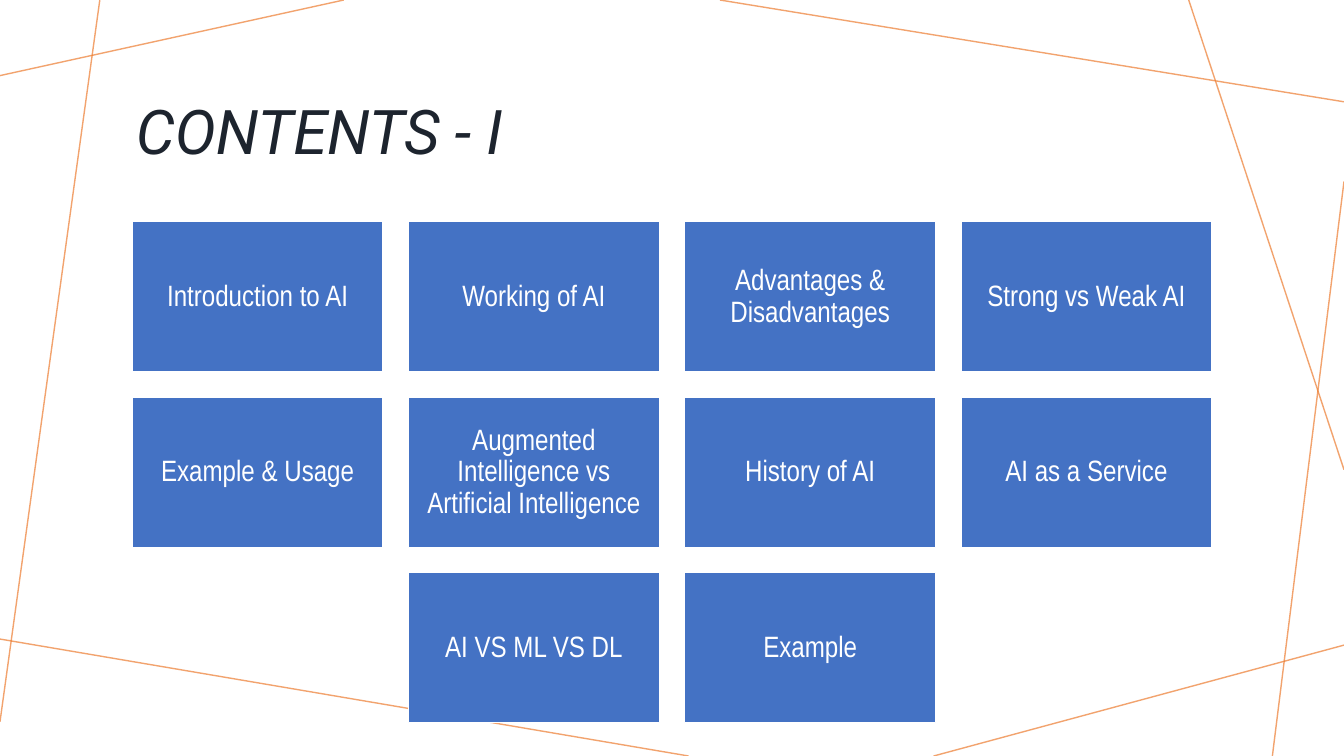
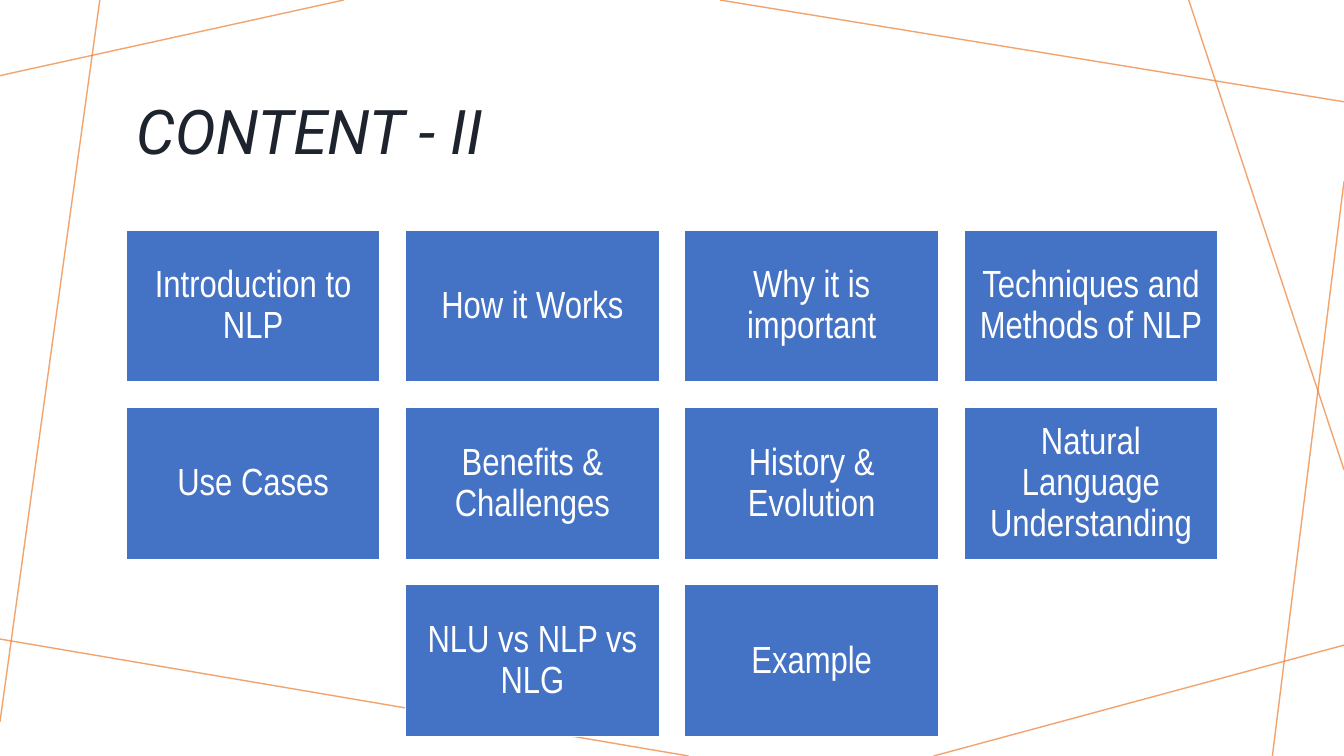
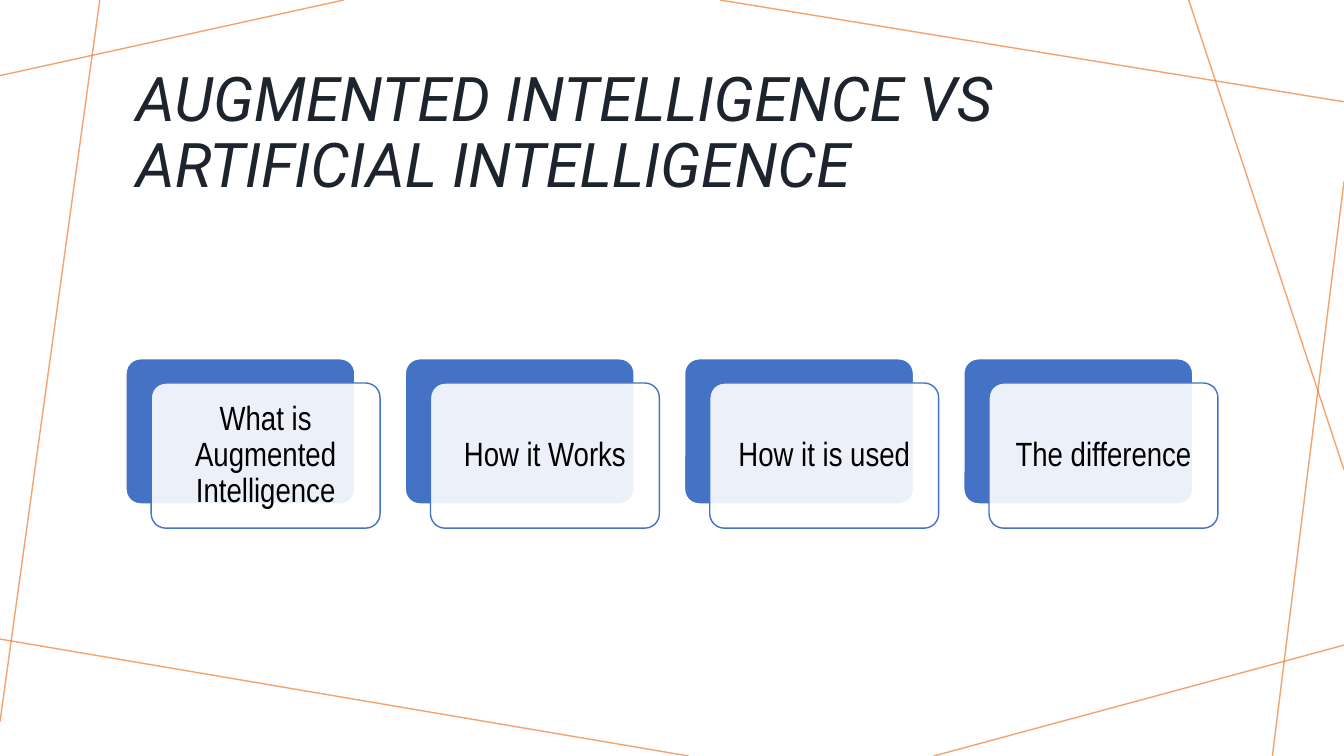
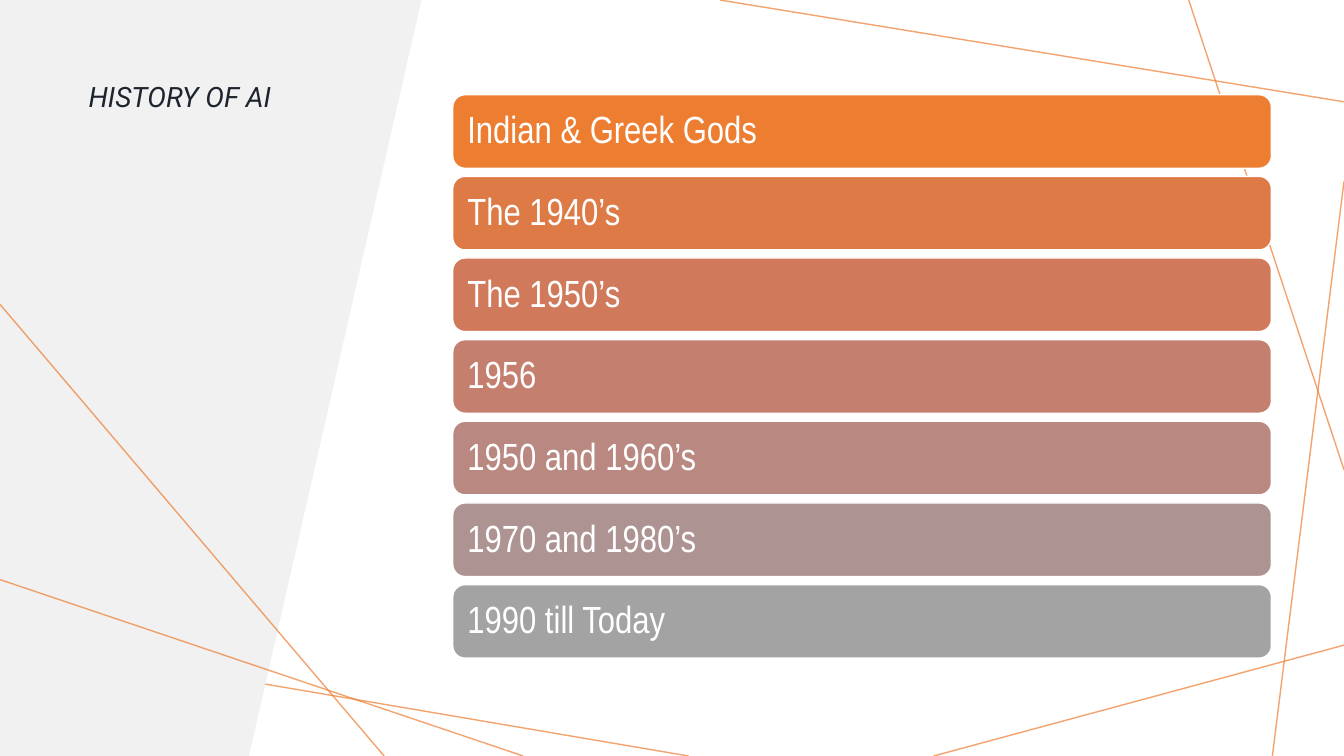
from lxml import etree
from pptx import Presentation
from pptx.dml.color import RGBColor
from pptx.enum.shapes import MSO_CONNECTOR, MSO_SHAPE as Kind
from pptx.enum.text import MSO_ANCHOR as Anchor, PP_ALIGN as Align
from pptx.oxml.ns import qn
from pptx.util import Pt

PX = 9144  # 100 px to the inch
WIDE, HIGH, GAP = 1333, 750, 25
WHITE, BLACK, INK = "FFFFFF", "000000", "1D242E"
BLUE, ORANGE, GREY = "4472C4", "ED7D31", "F2F1F1"

RAYS = [
    (341, 0, 0, 75), (99, 0, 0, 716), (683, 750, 0, 634),
    (1333, 640, 926, 750), (1333, 180, 1262, 750),
    (1333, 466, 1179, 0), (1333, 101, 714, 0),
]
PANEL = [(0, 0), (418, 0), (247, 750), (0, 750)]
PANEL_RAYS = [(0, 302, 381, 750), (519, 750, 0, 575)]

TILES = [
    dict(title="CONTENTS - I", top=220, size=(249, 149), pt=21, pad=9, rows=[
        ["Introduction to AI", "Working of AI", "Advantages & Disadvantages",
         "Strong vs Weak AI"],
        ["Example & Usage",
         "Augmented Intelligence vs Artificial Intelligence",
         "History of AI", "AI as a Service"],
        ["AI VS ML VS DL", "Example"],
    ]),
    dict(title="CONTENT - II", top=228, size=(252, 151), pt=27, pad=11, rows=[
        ["Introduction to NLP", "How it Works", "Why it is important",
         "Techniques and Methods of NLP"],
        ["Use Cases", "Benefits & Challenges", "History & Evolution",
         "Natural Language Understanding"],
        ["NLU vs NLP vs NLG", "Example"],
    ]),
]
VERSUS = "AUGMENTED INTELLIGENCE VS ARTIFICIAL INTELLIGENCE"
CARDS = ["What is Augmented Intelligence", "How it Works",
         "How it is used", "The difference"]
PAST = "HISTORY OF AI"
ERAS = [
    ("Indian & Greek Gods", "ED7D31"), ("The 1940’s", "DE7A46"),
    ("The 1950’s", "D17A5B"), ("1956", "C47F6E"),
    ("1950 and 1960’s", "B88881"), ("1970 and 1980’s", "AD9492"),
    ("1990 till Today", "A3A3A3"),
]


def paint(part, hue, alpha=None):
    """Give a fill or line a solid colour, with alpha in percent."""
    fill = getattr(part, "fill", part)
    fill.solid()
    fill.fore_color.rgb = RGBColor.from_string(hue)
    if alpha:
        clr = fill._xPr.find(qn("a:solidFill"))[0]
        etree.SubElement(clr, qn("a:alpha")).set("val", str(alpha * 1000))


def write(shape, text, hue, align=Align.LEFT, anchor=Anchor.MIDDLE,
          pads=(10, 5), **font):
    frame = shape.text_frame
    across, down = (pad * PX for pad in pads)
    look = dict(word_wrap=True, vertical_anchor=anchor,
                margin_left=across, margin_right=across,
                margin_top=down, margin_bottom=down)
    for key, val in look.items():
        setattr(frame, key, val)
    para = frame.paragraphs[0]
    para.alignment, para.line_spacing = align, 0.9
    run = para.add_run()
    run.text = text
    for key, val in font.items():
        setattr(run.font, key, val)
    run.font.color.rgb = RGBColor.from_string(hue)


def block(slide, kind, box, hue, edge=WHITE, alpha=None, adj=None):
    shape = slide.shapes.add_shape(kind, *(n * PX for n in box))
    shape.shadow.inherit = False
    paint(shape.fill, hue, alpha)
    paint(shape.line, edge)
    shape.line.width = Pt(1)
    if adj:
        shape.adjustments[0] = adj
    return shape


def label(shape, text, pt, pad, hue=WHITE, align=Align.CENTER):
    write(shape, text, hue, align, pads=(pad, pad),
          name="Arial Narrow", size=Pt(pt))


def rays(slide, ends):
    for end in ends:
        ray = slide.shapes.add_connector(
            MSO_CONNECTOR.STRAIGHT, *(n * PX for n in end))
        paint(ray.line, ORANGE, 70)
        ray.line.width = Pt(1)
        etree.SubElement(ray._element.spPr, qn("a:effectLst"))


def head(slide, text, box=(125, 58, 1083, 151), pt=44, anchor=Anchor.MIDDLE):
    title = slide.shapes.add_textbox(*(n * PX for n in box))
    write(title, text, INK, anchor=anchor,
          name="Roboto", size=Pt(pt), italic=True)


def grid(rows, top, size):
    """Yield text, left and top of each cell, with every row centred."""
    wide, high = size
    for i, row in enumerate(rows):
        left = (WIDE - len(row) * (wide + GAP) + GAP) // 2
        for j, text in enumerate(row):
            yield text, left + j * (wide + GAP), top + i * (high + GAP)


def start(deck):
    slide = deck.slides.add_slide(deck.slide_layouts[6])
    rays(slide, RAYS)
    return slide


def tiles(deck, title, top, size, pt, pad, rows):
    slide = start(deck)
    head(slide, title)
    for text, x, y in grid(rows, top, size):
        label(block(slide, Kind.RECTANGLE, (x, y, *size), BLUE),
              text, pt, pad)


def cards(deck):
    slide = start(deck)
    head(slide, VERSUS)
    wide, high, dx, dy = 227, 144, 25, 24
    for text, x, y in grid([CARDS], 356, (wide + dx, high + dy)):
        block(slide, Kind.ROUNDED_RECTANGLE, (x, y, wide, high), BLUE,
              adj=0.1)
        front = block(slide, Kind.ROUNDED_RECTANGLE,
                      (x + dx, y + dy, wide, high), WHITE, BLUE, 90, 0.1)
        label(front, text, 24, 10, BLACK)


def eras(deck):
    slide = start(deck)
    pen = slide.shapes.build_freeform(*PANEL[0], scale=PX)
    pen.add_line_segments(PANEL[1:])
    panel = pen.convert_to_shape()
    panel.shadow.inherit = False
    paint(panel.fill, GREY)
    panel.line.fill.background()
    head(slide, PAST, (78, 78, 270, 203), 20, Anchor.TOP)
    rays(slide, PANEL_RAYS)
    for i, (text, hue) in enumerate(ERAS):
        bar = block(slide, Kind.ROUNDED_RECTANGLE,
                    (449, 94 + 81 * i, 812, 73), hue)
        label(bar, text, 27, 11, align=Align.LEFT)


def main():
    deck = Presentation()
    deck.slide_width, deck.slide_height = WIDE * PX, HIGH * PX
    for page in TILES:
        tiles(deck, **page)
    cards(deck)
    eras(deck)
    deck.save("out.pptx")


if __name__ == "__main__":
    main()
